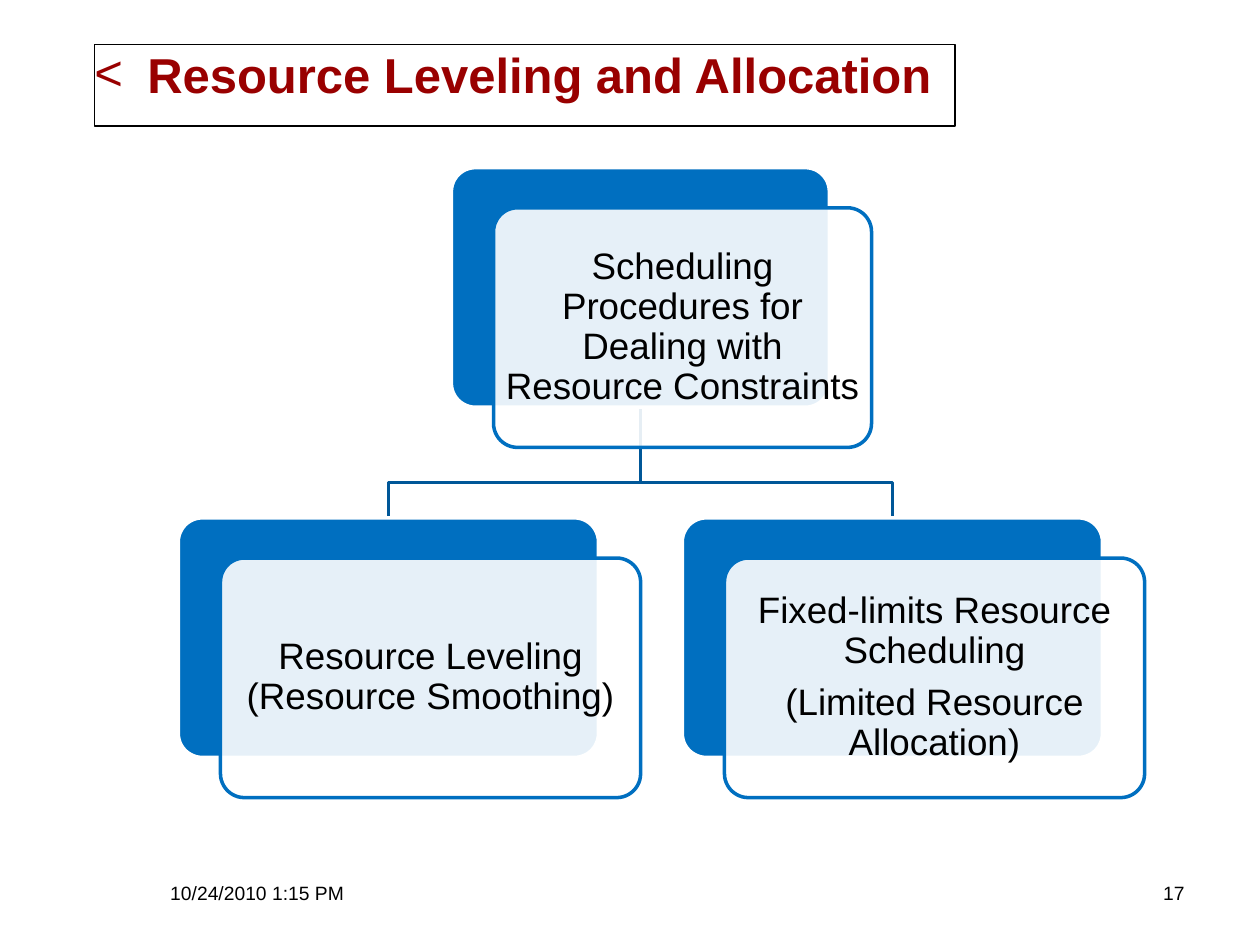
import pptx
import pptx.util
import pptx.dml.color
import pptx.enum.shapes
import pptx.enum.text
import pptx.oxml
import pptx.oxml.ns
from lxml import etree

Cm = pptx.util.Cm
Pt = pptx.util.Pt
RGBColor = pptx.dml.color.RGBColor
Align = pptx.enum.text.PP_ALIGN
Anchor = pptx.enum.text.MSO_ANCHOR

BLACK = RGBColor(0x00, 0x00, 0x00)
WHITE = RGBColor(0xFF, 0xFF, 0xFF)
DARK_RED = RGBColor(0x99, 0x00, 0x00)
BLUE = RGBColor(0x00, 0x6F, 0xC0)
DARK_BLUE = RGBColor(0x00, 0x57, 0x98)


class ChartSlide:
    font = "Arial"
    card_height = 4.83
    offset_x, offset_y = 0.85, 0.81

    def __init__(self, slide):
        self.slide = slide

    def add_run(self, paragraph, text, size, color=BLACK, bold=False):
        run = paragraph.add_run()
        run.text = text
        run.font.name = self.font
        run.font.size = Pt(size)
        run.font.bold = bold
        run.font.color.rgb = color

    def set_insets(self, frame, inset):
        frame.margin_left = frame.margin_right = Cm(inset)
        frame.margin_top = frame.margin_bottom = Cm(inset)

    def title(self, text, left, top, width, height):
        shape = self.slide.shapes.title
        shape.left, shape.top = Cm(left), Cm(top)
        shape.width, shape.height = Cm(width), Cm(height)
        shape.fill.solid()
        shape.fill.fore_color.rgb = WHITE
        shape.line.color.rgb = BLACK
        shape.line.width = Pt(0.75)
        frame = shape.text_frame
        frame.auto_size = pptx.enum.text.MSO_AUTO_SIZE.NONE
        frame.vertical_anchor = Anchor.TOP
        self.set_insets(frame, 0)
        paragraph = frame.paragraphs[0]
        paragraph.alignment = Align.LEFT
        self.add_run(paragraph, text, 28, DARK_RED, bold=True)
        self.bullet(paragraph, "<", 1.07)

    def bullet(self, paragraph, character, indent):
        qn = pptx.oxml.ns.qn
        properties = paragraph._p.get_or_add_pPr()
        properties.set("marL", str(Cm(indent)))
        properties.set("indent", str(-Cm(indent)))
        color = etree.SubElement(properties, qn("a:buClr"))
        etree.SubElement(color, qn("a:srgbClr"), val=str(DARK_RED))
        etree.SubElement(properties, qn("a:buFont"), typeface=self.font)
        etree.SubElement(properties, qn("a:buChar"), char=character)

    def footer(self, text, left, width):
        shape = self.slide.shapes.add_textbox(Cm(left), Cm(17.65), Cm(width), Cm(1.02))
        shape.text_frame.word_wrap = True
        paragraph = shape.text_frame.paragraphs[0]
        paragraph.alignment = Align.RIGHT
        self.add_run(paragraph, text, 11)

    def branch(self, points):
        corners = [(Cm(x), Cm(y)) for x, y in points]
        builder = self.slide.shapes.build_freeform(*corners[0], scale=1.0)
        builder.add_line_segments(corners[1:], close=False)
        shape = builder.convert_to_shape()
        shape.shadow.inherit = False
        shape.fill.background()
        shape.line.color.rgb = DARK_BLUE
        shape.line.width = Pt(2)

    def panel(self, left, top, width, fill, line):
        shape = self.slide.shapes.add_shape(
            pptx.enum.shapes.MSO_SHAPE.ROUNDED_RECTANGLE,
            Cm(left), Cm(top), Cm(width), Cm(self.card_height))
        shape.adjustments[0] = 0.1
        shape.shadow.inherit = False
        shape.fill.solid()
        shape.fill.fore_color.rgb = fill
        shape.line.color.rgb = line
        shape.line.width = Pt(2)
        return shape

    def card(self, center, top, width, texts):
        left = center - width / 2
        self.panel(left, top, width, BLUE, WHITE)
        front = self.panel(left + self.offset_x, top + self.offset_y, width, WHITE, BLUE)
        # Let the back panel show through the front one
        qn = pptx.oxml.ns.qn
        fill_color = front._element.spPr.find(qn("a:solidFill")).find(qn("a:srgbClr"))
        etree.SubElement(fill_color, qn("a:alpha"), val="90000")
        frame = front.text_frame
        frame.word_wrap = True
        frame.vertical_anchor = Anchor.MIDDLE
        self.set_insets(frame, 0.08)
        for index, text in enumerate(texts):
            paragraph = frame.add_paragraph() if index else frame.paragraphs[0]
            paragraph.alignment = Align.CENTER
            paragraph.line_spacing = 0.9
            paragraph.space_before = Pt(7.3 if index else 0)
            self.add_run(paragraph, text, 21)


presentation = pptx.Presentation()
presentation.slide_width = Cm(25.4)
presentation.slide_height = Cm(19.05)
chart = ChartSlide(presentation.slides.add_slide(presentation.slide_layouts[5]))

# Title and footer
chart.title("Resource Leveling and Allocation", 1.9, 0.89, 17.35, 1.65)
chart.footer("10/24/2010 1:15 PM", 1.27, 5.92)
chart.footer("17", 22.02, 2.11)

# Branches from the root to its two children
root_center, root_top = 12.91, 3.38
child_top, fork = 10.44, 9.73
root_bottom = root_top + chart.card_height
child_centers = [root_center - 5.08, root_center + 5.08]
for center in reversed(child_centers):
    chart.branch([(root_center, root_bottom), (root_center, fork),
                  (center, fork), (center, child_top)])

# Cards
chart.card(root_center, root_top, 7.62,
           ["Scheduling Procedures for Dealing with Resource Constraints"])
child_texts = [
    ["Resource Leveling (Resource Smoothing)"],
    ["Fixed-limits Resource Scheduling", "(Limited Resource Allocation)"],
]
for center, texts in zip(child_centers, child_texts):
    chart.card(center, child_top, 8.47, texts)

presentation.save("out.pptx")
